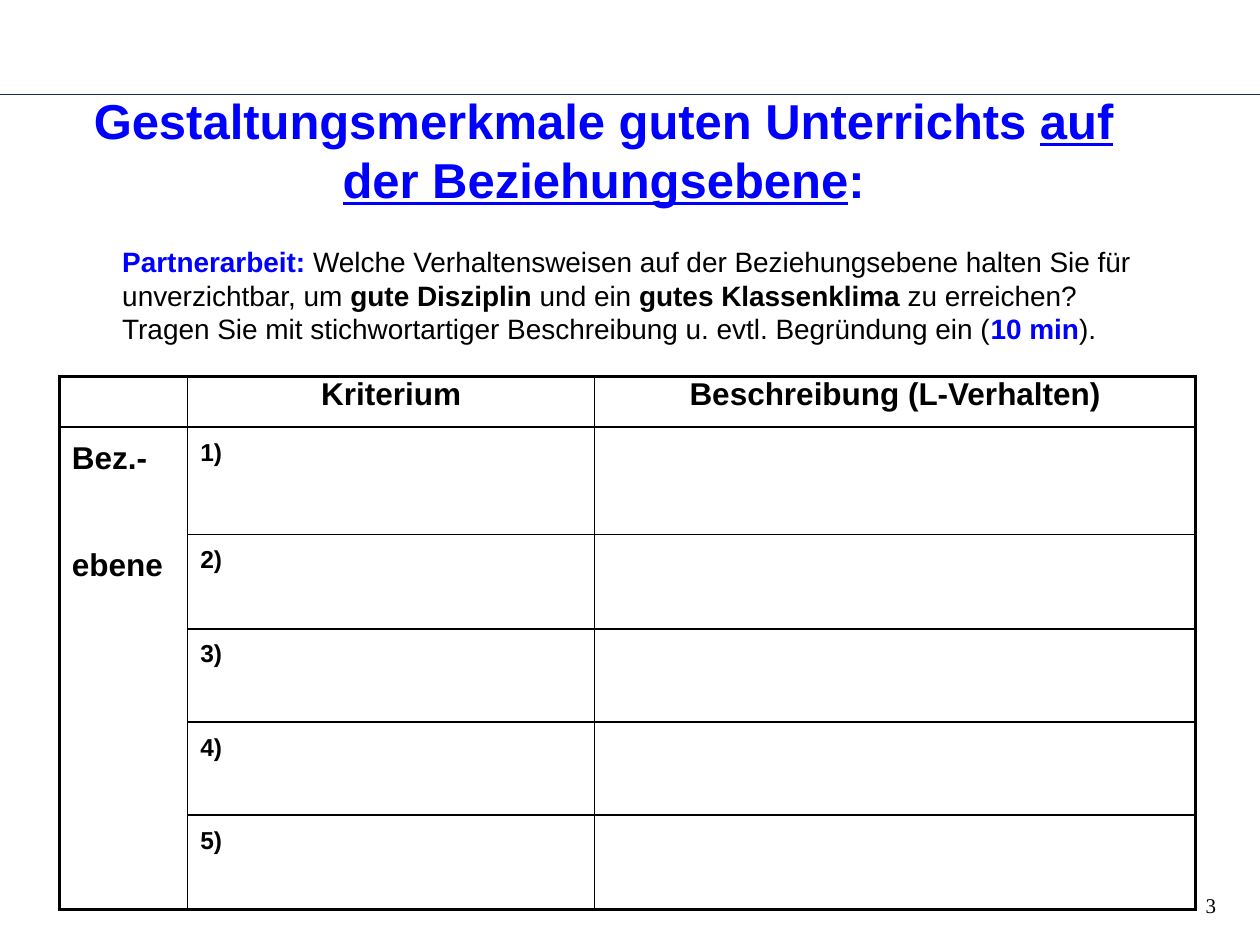
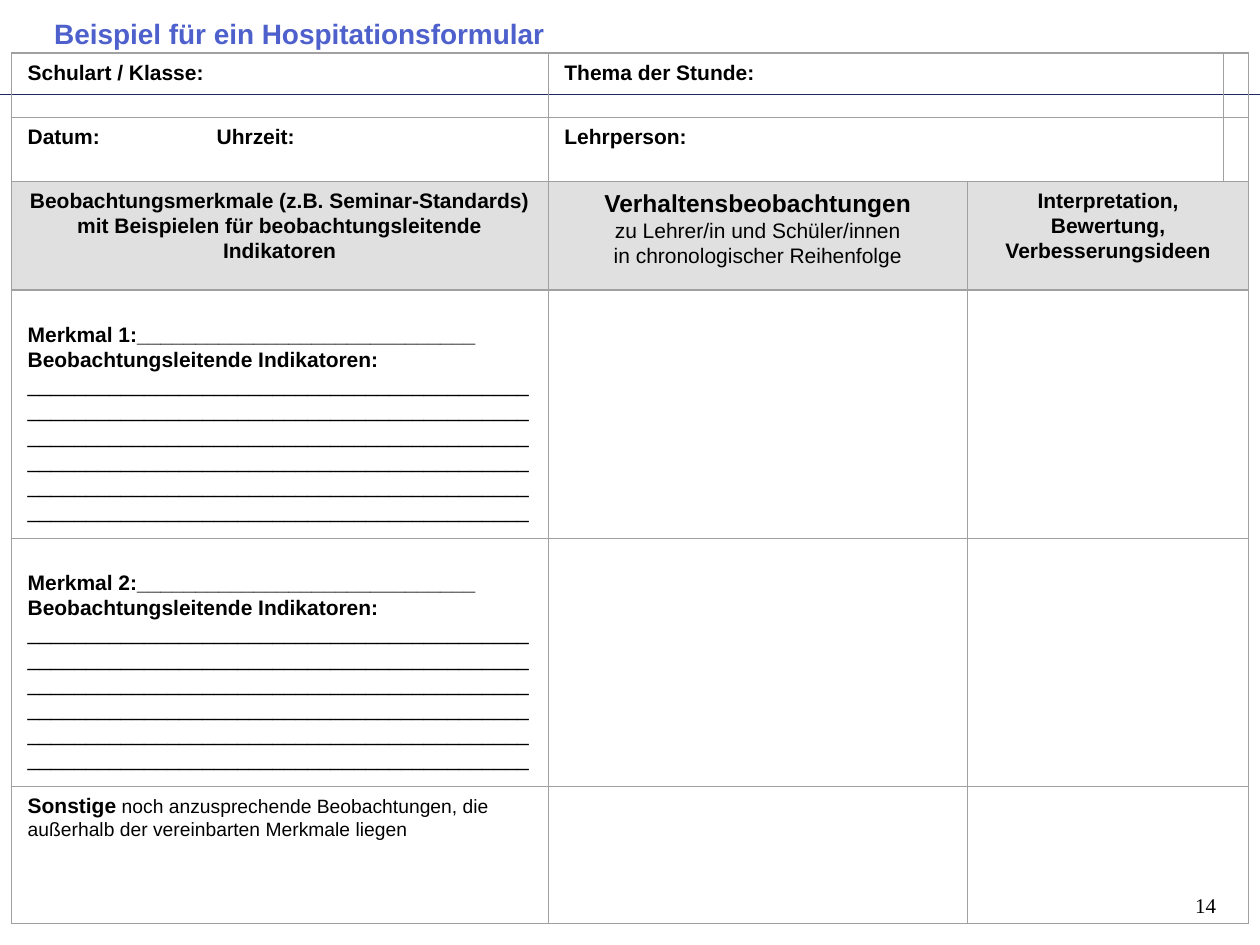
from itertools import accumulate
from typing import NamedTuple

from lxml import etree
from pptx import Presentation
from pptx.dml.color import RGBColor
from pptx.enum.shapes import MSO_CONNECTOR, MSO_SHAPE
from pptx.enum.text import MSO_ANCHOR as Anchor, PP_ALIGN as Align
from pptx.oxml.ns import qn
from pptx.util import Inches, Pt

# Shared colours and text formats
BLACK = RGBColor(0, 0, 0)
BLUE = RGBColor(0x00, 0x00, 0xFF)
HEADING_BLUE = RGBColor(0x4E, 0x60, 0xCB)
RULE_NAVY = RGBColor(0x1D, 0x27, 0x63)
GRID_GREY = RGBColor(0xA0, 0xA0, 0xA0)
HEADER_GREY = RGBColor(0xE0, 0xE0, 0xE0)

PLAIN = {"name": "Arial", "size": Pt(12), "bold": False, "color": BLACK}
BOLD = PLAIN | {"bold": True}
THIN, THICK = Pt(1), Pt(2.25)


class Box(NamedTuple):
    left: float
    top: float
    width: float
    height: float

    def lengths(self):
        return [Inches(value) for value in self]


# Text helpers
def set_font(font, style):
    for key, value in style.items():
        if key == "color":
            font.color.rgb = value
        else:
            setattr(font, key, value)


def write(frame, paragraphs, align=Align.LEFT, **layout):
    """Fill a text frame; each paragraph is a list of (text, style) runs."""
    for key, value in ({"word_wrap": True} | layout).items():
        setattr(frame, key, value)
    for index, runs in enumerate(paragraphs):
        paragraph = frame.add_paragraph() if index else frame.paragraphs[0]
        paragraph.alignment = align
        paragraph.space_before = Pt(0)
        for text, style in runs:
            run = paragraph.add_run()
            run.text = text
            set_font(run.font, style)


def place(shape, box):
    shape.left, shape.top, shape.width, shape.height = box.lengths()
    return shape.text_frame


# Parts on every slide: rule across the top and page number
def start_slide(deck, layout_index, page):
    slide = deck.slides.add_slide(deck.slide_layouts[layout_index])
    rule = slide.shapes.add_connector(
        MSO_CONNECTOR.STRAIGHT, 0, Inches(0.75), deck.slide_width, Inches(0.75))
    rule.line.color.rgb = RULE_NAVY
    rule.line.width = Pt(0.25)
    etree.SubElement(rule._element.spPr, qn("a:effectLst"))
    number = slide.shapes.add_textbox(*Box(9.1, 6.98, 0.65, 0.4).lengths())
    write(number.text_frame, [[(page, PLAIN | {"name": "Times New Roman"})]],
          Align.RIGHT, vertical_anchor=Anchor.MIDDLE)
    return slide


# Slide 1: group task with a table to fill in
def add_task(slide, box):
    text = PLAIN | {"size": Pt(16)}
    strong = text | {"bold": True}
    accent = strong | {"color": BLUE}
    frame = place(slide.placeholders[1], box)
    write(frame, [[
        ("Partnerarbeit:", accent),
        (" Welche Verhaltensweisen auf der Beziehungsebene halten Sie für "
         "unverzichtbar, um ", text),
        ("gute Disziplin", strong),
        (" und ein ", text),
        ("gutes Klassenklima", strong),
        (" zu erreichen? Tragen Sie mit stichwortartiger Beschreibung u. evtl. "
         "Begründung ein (", text),
        ("10 min", accent),
        (").", text),
    ]])
    properties = frame.paragraphs[0]._p.get_or_add_pPr()
    properties.set("marL", "0")
    properties.set("indent", "0")
    etree.SubElement(properties, qn("a:buNone"))


def set_borders(cell, widths):
    """Draw the left, right, top and bottom border; None hides one."""
    properties = cell._tc.get_or_add_tcPr()
    for side, width in zip("LRTB", widths):
        line = etree.SubElement(properties, qn(f"a:ln{side}"), w=str(width or 0))
        if width is None:
            etree.SubElement(line, qn("a:noFill"))
        else:
            fill = etree.SubElement(line, qn("a:solidFill"))
            etree.SubElement(fill, qn("a:srgbClr"), val=str(BLACK))


def add_criteria_table(slide, box):
    column_widths = [1.02, 3.23, 4.77]
    row_heights = [0.33, 0.85, 0.75, 0.74, 0.74, 0.75]
    level_label = ["Bez.-", "ebene", "", "", ""]
    rows = [["", "Kriterium", "Beschreibung (L-Verhalten)"]]
    rows += [[label, f"{number})", ""] for number, label in enumerate(level_label, 1)]
    last_row, last_column = len(rows) - 1, len(column_widths) - 1

    table = slide.shapes.add_table(
        len(rows), len(column_widths), *box.lengths()).table
    table.first_row = table.horz_banding = False
    for column, width in zip(table.columns, column_widths):
        column.width = Inches(width)
    for r, (row, height) in enumerate(zip(table.rows, row_heights)):
        row.height = Inches(height)
        for c, cell in enumerate(row.cells):
            open_top = c == 0 and r > 1
            open_bottom = c == 0 and 0 < r < last_row
            set_borders(cell, [
                THICK if c == 0 else THIN,
                THICK if c == last_column else THIN,
                THICK if r == 0 else None if open_top else THIN,
                THICK if r == last_row else None if open_bottom else THIN,
            ])
            cell.fill.background()
            if rows[r][c]:
                size = Pt(14) if r and c else Pt(18)
                write(cell.text_frame, [[(rows[r][c], BOLD | {"size": size})]],
                      Align.LEFT if r else Align.CENTER)
                cell.text_frame.paragraphs[0].line_spacing = 1.2 if r else 0.8


def build_task_slide(deck):
    slide = start_slide(deck, 1, "3")
    heading = BOLD | {"size": Pt(28), "color": BLUE}
    write(place(slide.shapes.title, Box(0.54, 0.81, 8.5, 0.75)), [[
        ("Gestaltungsmerkmale guten Unterrichts ", heading),
        ("auf der Beziehungsebene", heading | {"underline": True}),
        (":", heading),
    ]], Align.CENTER, vertical_anchor=Anchor.MIDDLE)
    add_task(slide, Box(0.87, 1.89, 8.5, 1))
    add_criteria_table(slide, Box(0.47, 2.99, 9.02, 4.16))


# Slide 2: observation form
def add_field(form, box, paragraphs=(), header=False, top_inset=0.05, line=0.25):
    field = form.shapes.add_shape(MSO_SHAPE.RECTANGLE, *box.lengths())
    field.shadow.inherit = False
    field.line.color.rgb = GRID_GREY
    field.line.width = Pt(line)
    if header:
        field.fill.solid()
        field.fill.fore_color.rgb = HEADER_GREY
    else:
        field.fill.background()
    write(field.text_frame, paragraphs, Align.CENTER if header else Align.LEFT,
          vertical_anchor=Anchor.TOP, margin_left=Inches(0.13),
          margin_right=Inches(0.13), margin_top=Inches(top_inset))
    return field


def add_tab_stops(paragraph, positions):
    stops = etree.SubElement(paragraph._p.get_or_add_pPr(), qn("a:tabLst"))
    for position in positions:
        etree.SubElement(stops, qn("a:tab"), pos=str(Inches(position)), algn="l")


def feature(number):
    return [
        [(f"Merkmal {number}:" + "_" * 29, BOLD)],
        [("Beobachtungsleitende Indikatoren:", BOLD)],
        [("_" * 43 * 6, PLAIN)],
    ]


def add_form(slide, box):
    form = slide.shapes.add_group_shape()
    lesson_columns = [4.26, 5.36, 0.2]
    observation_columns = [4.26, 3.33, 2.23]
    header = [
        [[("Beobachtungsmerkmale (z.B. Seminar-Standards) mit Beispielen für "
           "beobachtungsleitende Indikatoren", BOLD)]],
        [[("Verhaltensbeobachtungen", BOLD | {"size": Pt(14)})],
         [("zu Lehrer/in und Schüler/innen", PLAIN)],
         [("in chronologischer Reihenfolge", PLAIN)]],
        [[("Interpretation, Bewertung, Verbesserungsideen", BOLD)]],
    ]
    other = [[("Sonstige", BOLD),
              (" noch anzusprechende Beobachtungen, die außerhalb der "
               "vereinbarten Merkmale liegen", PLAIN | {"size": Pt(11)})]]
    # Height, column widths, texts of the columns, further format of the fields
    rows = [
        (0.51, lesson_columns, [[[("Schulart / Klasse:", BOLD)]],
                                [[("Thema der Stunde:", BOLD)]], []], {}),
        (0.51, lesson_columns, [[[("Datum:\t\tUhrzeit:", BOLD)]],
                                [[("Lehrperson:", BOLD)]], []], {}),
        (0.86, observation_columns, header, {"header": True}),
        (1.97, observation_columns, [feature(1), [], []], {"top_inset": 0.25}),
        (1.97, observation_columns, [feature(2), [], []], {"top_inset": 0.25}),
        (1.09, observation_columns, [other, [], []], {}),
    ]
    tops = accumulate((row[0] for row in rows), initial=box.top)
    for top, (height, widths, texts, options) in zip(tops, rows):
        lefts = accumulate(widths, initial=box.left)
        for left, width, text in zip(lefts, widths, texts):
            field = add_field(form, Box(left, top, width, height), text, **options)
            if text and "\t" in text[0][0][0]:
                add_tab_stops(field.text_frame.paragraphs[0], [1, 1.5])
    add_field(form, box, line=0.5)


def build_form_slide(deck):
    slide = start_slide(deck, 5, "14")
    heading = BOLD | {"size": Pt(16), "color": HEADING_BLUE}
    write(place(slide.shapes.title, Box(0.33, 0.08, 5.17, 0.37)),
          [[("Beispiel für ein Hospitationsformular", heading)]],
          vertical_anchor=Anchor.TOP)
    add_form(slide, Box(0.09, 0.42, 9.82, 6.91))


def main():
    deck = Presentation()
    deck.slide_width, deck.slide_height = Inches(10), Inches(7.5)
    build_task_slide(deck)
    build_form_slide(deck)
    deck.save("out.pptx")


if __name__ == "__main__":
    main()
